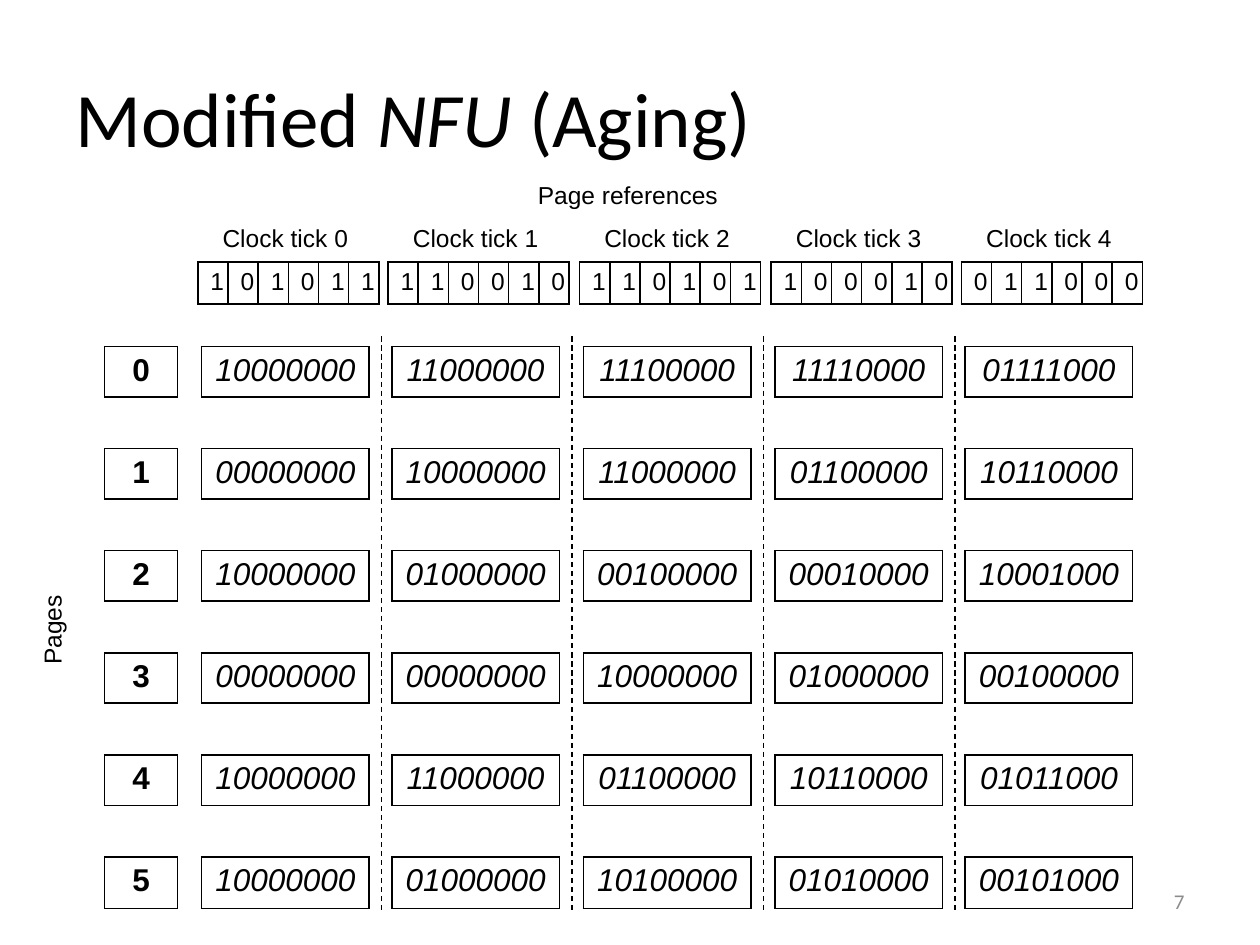
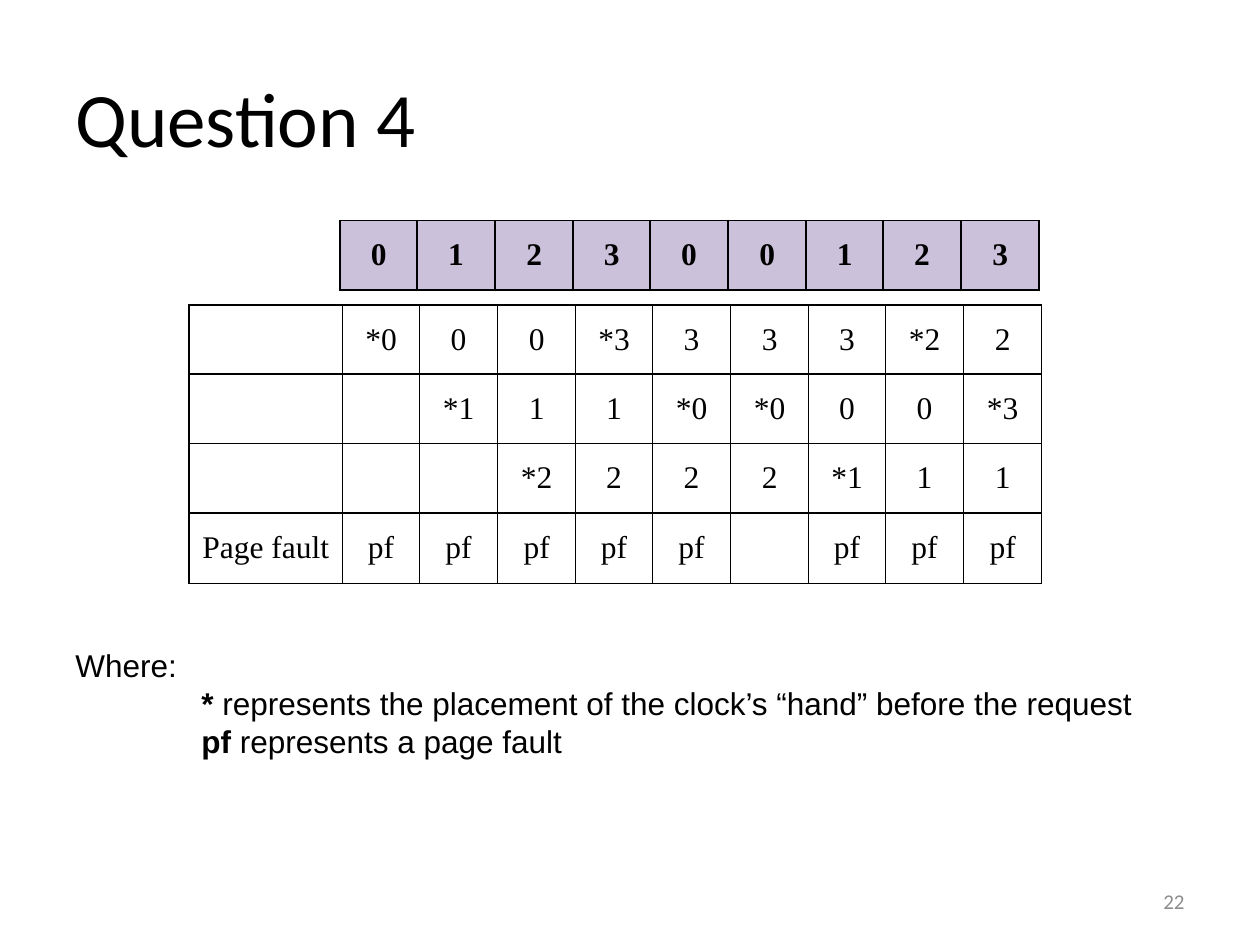
from dataclasses import dataclass
from typing import Optional

import pptx
import pptx.dml.color
import pptx.enum.dml
import pptx.enum.shapes
import pptx.enum.text
import pptx.oxml.ns
import pptx.slide
import pptx.table
import pptx.text.text
import pptx.util
from lxml import etree

EMU_PER_PX = 9144  # 100 px to the inch
ALIGN = pptx.enum.text.PP_ALIGN
ANCHOR = pptx.enum.text.MSO_ANCHOR


@dataclass(frozen=True)
class Theme:
    ink: str = "000000"
    muted: str = "8C8C8C"
    request_fill: str = "CCC1DA"
    heading_font: str = "Calibri"
    body_font: str = "Arial"
    table_font: str = "Times New Roman"
    title_size: int = 44
    body_size: int = 18
    label_size: int = 14
    footer_size: int = 12
    border_width: float = 1
    divider_width: float = 0.75


THEME = Theme()


@dataclass(frozen=True)
class Style:
    font: str
    size: int
    color: str = THEME.ink
    bold: bool = False
    italic: bool = False


TITLE = Style(THEME.heading_font, THEME.title_size)
TITLE_ITALIC = Style(THEME.heading_font, THEME.title_size, italic=True)
PAGE_NUMBER = Style(THEME.heading_font, THEME.footer_size, THEME.muted)
LABEL = Style(THEME.body_font, THEME.label_size)
BODY = Style(THEME.body_font, THEME.body_size)
BODY_BOLD = Style(THEME.body_font, THEME.body_size, bold=True)
COUNTER = Style(THEME.body_font, THEME.body_size, italic=True)
FRAME = Style(THEME.table_font, THEME.body_size)
REQUEST = Style(THEME.table_font, THEME.body_size, bold=True)


@dataclass(frozen=True)
class Run:
    text: str
    style: Style


@dataclass(frozen=True)
class Line:
    runs: list[Run]
    indent: int = 0


@dataclass(frozen=True)
class TextBlock:
    left: int
    top: int
    width: int
    height: int
    lines: list[Line]
    align: ALIGN = ALIGN.LEFT
    anchor: ANCHOR = ANCHOR.TOP
    wrap: bool = True
    rotation: int = 0


@dataclass(frozen=True)
class Grid:
    """A bordered table; a row of None is an open gap between boxes."""
    left: int
    top: int
    columns: list[int]
    rows: list[int]
    cells: list[Optional[list[str]]]
    style: Style
    fill: Optional[str] = None
    tight: bool = False


def px(length: int) -> pptx.util.Emu:
    return pptx.util.Emu(length * EMU_PER_PX)


def rgb(color: str) -> pptx.dml.color.RGBColor:
    return pptx.dml.color.RGBColor.from_string(color)


def split(total: int, count: int) -> list[int]:
    """Divide a length into near-equal whole parts that add up to it."""
    return [total * (i + 1) // count - total * i // count for i in range(count)]


def add_run(paragraph: pptx.text.text._Paragraph, text: str, style: Style) -> None:
    run = paragraph.add_run()
    run.text = text
    font = run.font
    font.name, font.size = style.font, pptx.util.Pt(style.size)
    font.bold, font.italic = style.bold, style.italic
    font.color.rgb = rgb(style.color)


def add_text(slide: pptx.slide.Slide, block: TextBlock) -> None:
    box = slide.shapes.add_textbox(
        px(block.left), px(block.top), px(block.width), px(block.height))
    box.rotation = block.rotation
    frame = box.text_frame
    frame.word_wrap = block.wrap
    frame.vertical_anchor = block.anchor
    for number, line in enumerate(block.lines):
        paragraph = frame.add_paragraph() if number else frame.paragraphs[0]
        paragraph.alignment = block.align
        if line.indent:
            paragraph._p.get_or_add_pPr().set("marL", str(px(line.indent)))
        for run in line.runs:
            add_run(paragraph, run.text, run.style)


def set_borders(cell: pptx.table._Cell, visible_sides: str) -> None:
    properties = cell._tc.get_or_add_tcPr()
    qn = pptx.oxml.ns.qn
    for side in "LRTB":
        line = etree.SubElement(properties, qn(f"a:ln{side}"),
                                w=str(pptx.util.Pt(THEME.border_width)))
        if side in visible_sides:
            fill = etree.SubElement(line, qn("a:solidFill"))
            etree.SubElement(fill, qn("a:srgbClr"), val=THEME.ink)
        else:
            etree.SubElement(line, qn("a:noFill"))


def fill_cell(cell: pptx.table._Cell, text: Optional[str], grid: Grid) -> None:
    set_borders(cell, "TB" if text is None else "LRTB")
    if grid.fill:
        cell.fill.solid()
        cell.fill.fore_color.rgb = rgb(grid.fill)
    else:
        cell.fill.background()
    if grid.tight:
        cell.vertical_anchor = ANCHOR.MIDDLE
        cell.margin_left = cell.margin_right = px(7)
    if grid.tight or text is None:
        cell.margin_top = cell.margin_bottom = 0
    if text:
        paragraph = cell.text_frame.paragraphs[0]
        paragraph.alignment = ALIGN.CENTER
        add_run(paragraph, text, grid.style)


def add_grid(slide: pptx.slide.Slide, grid: Grid) -> None:
    table = slide.shapes.add_table(
        len(grid.rows), len(grid.columns), px(grid.left), px(grid.top),
        px(sum(grid.columns)), px(sum(grid.rows))).table
    table.first_row = table.horz_banding = False
    for column, width in zip(table.columns, grid.columns):
        column.width = px(width)
    for row, height, texts in zip(table.rows, grid.rows, grid.cells):
        row.height = px(height)
        for cell, text in zip(row.cells, texts or [None] * len(grid.columns)):
            fill_cell(cell, text, grid)


def add_divider(slide: pptx.slide.Slide, x: int, top: int, bottom: int) -> None:
    divider = slide.shapes.add_connector(
        pptx.enum.shapes.MSO_CONNECTOR.STRAIGHT, px(x), px(top), px(x), px(bottom))
    divider.line.color.rgb = rgb(THEME.ink)
    divider.line.width = pptx.util.Pt(THEME.divider_width)
    divider.line.dash_style = pptx.enum.dml.MSO_LINE.DASH
    etree.SubElement(divider._element.spPr, pptx.oxml.ns.qn("a:effectLst"))


def add_titled_slide(deck: pptx.presentation.Presentation, title: list[Run],
                     number: int) -> pptx.slide.Slide:
    slide = deck.slides.add_slide(deck.slide_layouts[6])
    add_text(slide, TextBlock(50, 30, 900, 125, [Line(title)], anchor=ANCHOR.MIDDLE))
    add_text(slide, TextBlock(717, 695, 233, 40, [Line([Run(str(number), PAGE_NUMBER)])],
                              ALIGN.RIGHT, ANCHOR.MIDDLE))
    return slide


def add_page_column(slide: pptx.slide.Slide, left: int, width: int,
                    entries: list[str], style: Style) -> None:
    """Stack one box per page, with open gaps between them."""
    cells: list[Optional[list[str]]] = []
    for entry in entries:
        cells += [[entry], None]
    cells.pop()
    add_grid(slide, Grid(left, 275, [width], split(446, len(cells)), cells, style))


def build_aging(deck: pptx.presentation.Presentation) -> None:
    slide = add_titled_slide(deck, [Run("Modified ", TITLE), Run("NFU", TITLE_ITALIC),
                                    Run(" (Aging)", TITLE)], 7)
    references = ["101011", "110010", "110101", "100010", "011000"]
    counters = [0] * 6
    add_page_column(slide, 83, 58, [str(page) for page in range(6)], BODY_BOLD)
    for tick, bits in enumerate(references):
        offset = tick * 455 // 3
        # Aging: shift each counter right, then put the reference bit in front.
        counters = [int(bit) << 7 | counter >> 1 for bit, counter in zip(bits, counters)]
        add_page_column(slide, 160 + offset, 133,
                        [f"{counter:08b}" for counter in counters], COUNTER)
        add_grid(slide, Grid(157 + offset, 208, split(137, 6), [30], [list(bits)], LABEL))
        add_text(slide, TextBlock(158 + offset, 172, 137, 34,
                                  [Line([Run(f"Clock tick {tick}", LABEL)])], ALIGN.CENTER))
        if tick < len(references) - 1:
            add_divider(slide, 303 + offset, 267, 725)
    add_text(slide, TextBlock(417, 138, 166, 34, [Line([Run("Page references", LABEL)])],
                              wrap=False))
    add_text(slide, TextBlock(0, 479, 83, 34, [Line([Run("Pages", LABEL)])],
                              wrap=False, rotation=270))


def build_question(deck: pptx.presentation.Presentation) -> None:
    slide = add_titled_slide(deck, [Run("Question 4", TITLE)], 22)
    request_columns = split(555, 9)
    frames = [
        ["", "*0", "0", "0", "*3", "3", "3", "3", "*2", "2"],
        ["", "", "*1", "1", "1", "*0", "*0", "0", "0", "*3"],
        ["", "", "", "*2", "2", "2", "2", "*1", "1", "1"],
        ["Page fault"] + ["pf"] * 5 + [""] + ["pf"] * 3,
    ]
    add_grid(slide, Grid(150, 242, [122] + request_columns, split(221, 4), frames,
                         FRAME, tight=True))
    add_grid(slide, Grid(270, 175, request_columns, [55], [list("012300123")],
                         REQUEST, THEME.request_fill, tight=True))
    add_text(slide, TextBlock(50, 508, 900, 101, [
        Line([Run("Where:", BODY)]),
        Line([Run("*", BODY_BOLD),
              Run(" represents the placement of the clock’s “hand” before the request", BODY)],
             indent=100),
        Line([Run("pf ", BODY_BOLD), Run("represents a page fault", BODY)], indent=100),
    ]))


def main() -> None:
    deck = pptx.Presentation()
    deck.slide_width, deck.slide_height = px(1000), px(750)
    build_aging(deck)
    build_question(deck)
    deck.save("out.pptx")


if __name__ == "__main__":
    main()
